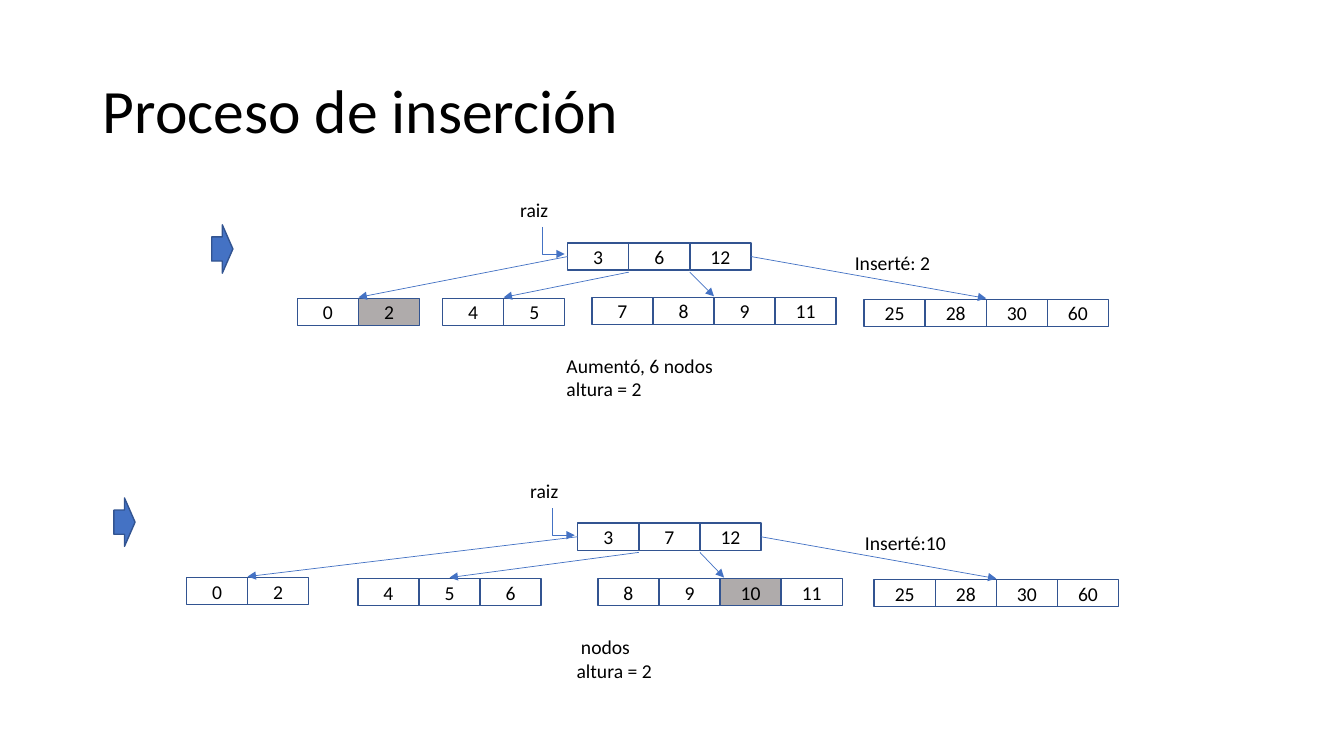
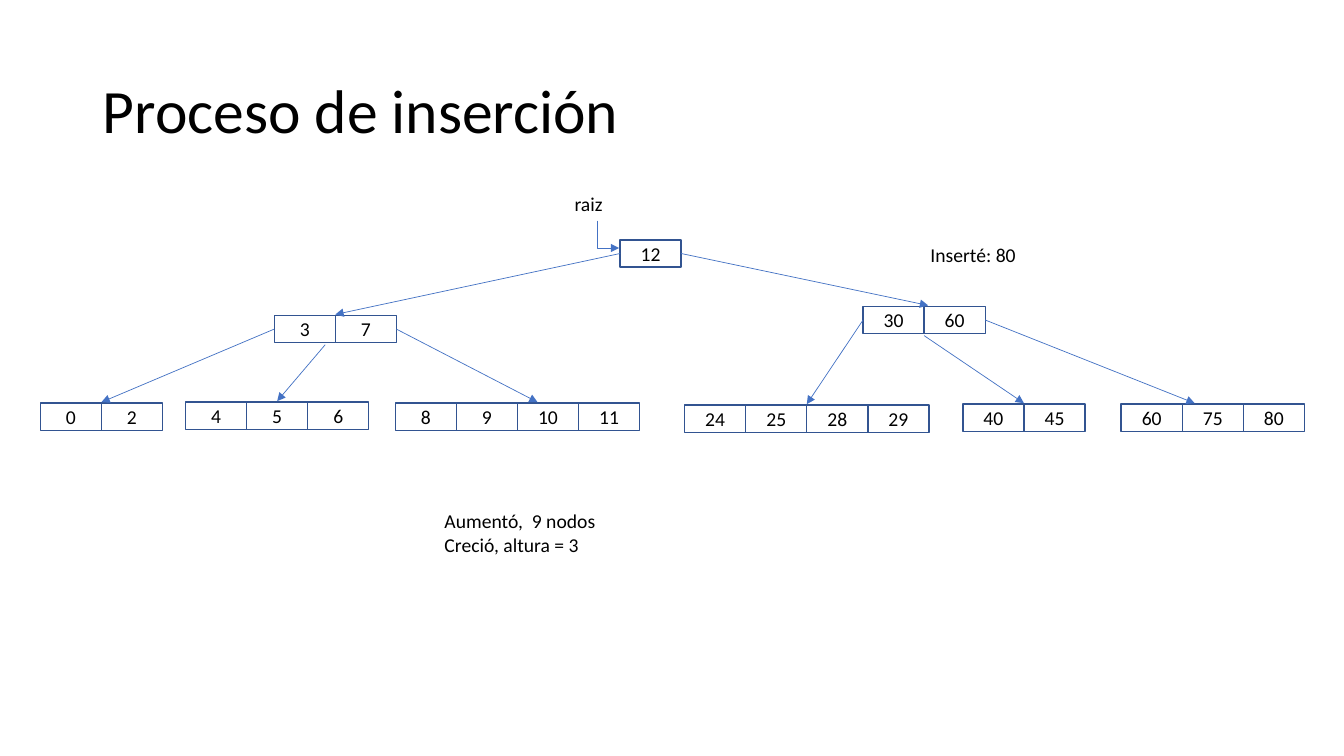
from pptx import Presentation
from pptx.dml.color import RGBColor
from pptx.enum.shapes import MSO_CONNECTOR, MSO_SHAPE
from pptx.enum.text import MSO_ANCHOR, PP_ALIGN
from pptx.oxml.ns import qn
from pptx.util import Inches, Pt
from lxml.etree import SubElement


def node(left, top, keys, *kids, tip=0, tail=0):
    """A row of keys; tip and tail shift the ends of the arrow into it."""
    return dict(left=left, top=top, keys=keys, kids=kids, tip=tip, tail=tail)


# Content
TITLE = "Proceso de inserción"
COLORS = dict(ink="000000", edge="325491", blue="4472C4", hot="AFABAB")

TREES = [
    [
        dict(root=node(5.63, 2.41, [3, 6, 12],
                       node(2.95, 2.96, [0, 2]),
                       node(4.39, 2.96, [4, 5]),
                       node(5.87, 2.95, [7, 8, 9, 11]),
                       node(8.57, 2.97, [25, 28, 30, 60])),
             hot=2, label=(5.06, 1.91), arrow=(2.1, 2.23),
             notes=[(8.38, 2.44, 0.96, ["Inserté: 2"]),
                    (5.52, 3.46, 1.67, ["Aumentó, 6 nodos", "altura = 2"])]),
        dict(root=node(5.73, 5.19, [3, 7, 12],
                       node(1.85, 5.73, [0, 2]),
                       node(3.55, 5.74, [4, 5, 6]),
                       node(5.93, 5.74, [8, 9, 10, 11], tip=0.04),
                       node(8.67, 5.75, [25, 28, 30, 60])),
             hot=10, label=(5.16, 4.7), arrow=(1.13, 4.94),
             notes=[(8.48, 5.22, 1.01, ["Inserté:10"]),
                    (5.62, 6.25, 0.96, [" nodos", "altura = 2"])]),
    ],
    [
        dict(root=node(6.15, 2.38, [12],
                       node(2.72, 3.13, [3, 7],
                            node(0.4, 4, [0, 2]),
                            node(1.84, 3.99, [4, 5, 6], tail=-0.1),
                            node(3.92, 4, [8, 9, 10, 11], tip=0.2)),
                       node(8.56, 3.04, [30, 60],
                            node(6.79, 4.02, [24, 25, 28, 29]),
                            node(9.55, 4.01, [40, 45]),
                            node(11.12, 4.01, [60, 75, 80], tip=-0.18),
                            tip=0.04)),
             hot=None, label=(5.6, 1.85), arrow=None,
             notes=[(9.13, 2.36, 1.06, ["Inserté: 80"]),
                    (4.31, 5, 1.71, ["Aumentó,  9 nodos",
                                     "Creció, altura = 3"])]),
    ],
]

# Grid
WIDE, HIGH = 13.33, 7.5
CELL, ROW = WIDE / 22, 0.27
LINE = 0.23


def color(name):
    return RGBColor.from_string(COLORS[name])


def write(shape, lines, size=14, align=PP_ALIGN.LEFT, anchor=MSO_ANCHOR.TOP,
          wrap=False, space=None):
    frame = shape.text_frame
    frame.word_wrap = wrap
    frame.vertical_anchor = anchor
    frame.text = "\n".join(lines)
    for para in frame.paragraphs:
        para.alignment = align
        para.line_spacing = space
        font = para.runs[0].font
        font.name, font.size = "Calibri", Pt(size)
        font.color.rgb = color("ink")


def label(slide, left, top, width, lines):
    high = 0.1 + LINE * len(lines)
    box = slide.shapes.add_textbox(*map(Inches, (left, top, width, high)))
    write(box, lines)


def block(slide, kind, left, top, width, high, fill=None):
    shape = slide.shapes.add_shape(
        kind, *map(Inches, (left, top, width, high)))
    shape.shadow.inherit = False
    shape.line.color.rgb, shape.line.width = color("edge"), Pt(1)
    if fill:
        shape.fill.solid()
        shape.fill.fore_color.rgb = color(fill)
    else:
        shape.fill.background()
    return shape


def link(slide, start, end, kind=MSO_CONNECTOR.STRAIGHT):
    wire = slide.shapes.add_connector(kind, *map(Inches, (*start, *end)))
    wire.line.color.rgb, wire.line.width = color("blue"), Pt(0.5)
    SubElement(wire.line._get_or_add_ln(), qn("a:tailEnd"), type="triangle")
    SubElement(wire._element.spPr, qn("a:effectLst"))
    return wire


def hook(slide, left, top, width, high):
    """Arrow that runs down, then right: a one-bend connector on its side."""
    x, y = left + (width - high) / 2, top + (high - width) / 2
    wire = link(slide, (x, y), (x + high, y + width), MSO_CONNECTOR.ELBOW)
    props = wire._element.spPr
    props.find(qn("a:prstGeom")).set("prst", "bentConnector2")
    form = props.find(qn("a:xfrm"))
    form.set("rot", str(270 * 60000))
    form.set("flipH", "1")


def grow(slide, item, hot):
    """Draw a node, then its children, each hung from the next key gap."""
    left, top, keys = item["left"], item["top"], item["keys"]
    for col, key in enumerate(keys):
        cell = block(slide, MSO_SHAPE.RECTANGLE, left + col * CELL, top,
                     CELL, ROW, "hot" if key == hot else None)
        write(cell, [str(key)], align=PP_ALIGN.CENTER,
              anchor=MSO_ANCHOR.MIDDLE, wrap=True)
    for gap, kid in enumerate(item["kids"]):
        grow(slide, kid, hot)
        side = gap in (0, len(keys))
        drop = ROW / 2 if side else ROW + 0.02
        mid = kid["left"] + len(kid["keys"]) * CELL / 2
        link(slide, (left + gap * CELL + kid["tail"], top + drop),
             (mid + kid["tip"], kid["top"] - 0.01))


# Shared title layout
deck = Presentation()
deck.slide_width, deck.slide_height = Inches(WIDE), Inches(HIGH)
plan = deck.slide_layouts[5]
head = plan.placeholders[0]
head.left, head.top = Inches(0.92), Inches(0.4)
head.width, head.height = Inches(11.5), Inches(1.45)

# Slides
for trees in TREES:
    slide = deck.slides.add_slide(plan)
    write(slide.shapes.title, [TITLE], size=44, anchor=MSO_ANCHOR.MIDDLE,
          wrap=True, space=0.9)
    for tree in trees:
        grow(slide, tree["root"], tree["hot"])
        x, y = tree["label"]
        label(slide, x, y, 0.48, ["raiz"])
        hook(slide, x + 0.32, y + 0.34, 0.22, 0.27)
        for note in tree["notes"]:
            label(slide, *note)
        if tree["arrow"]:
            block(slide, MSO_SHAPE.RIGHT_ARROW, *tree["arrow"], 0.21, 0.48,
                  "blue")

deck.save("out.pptx")
